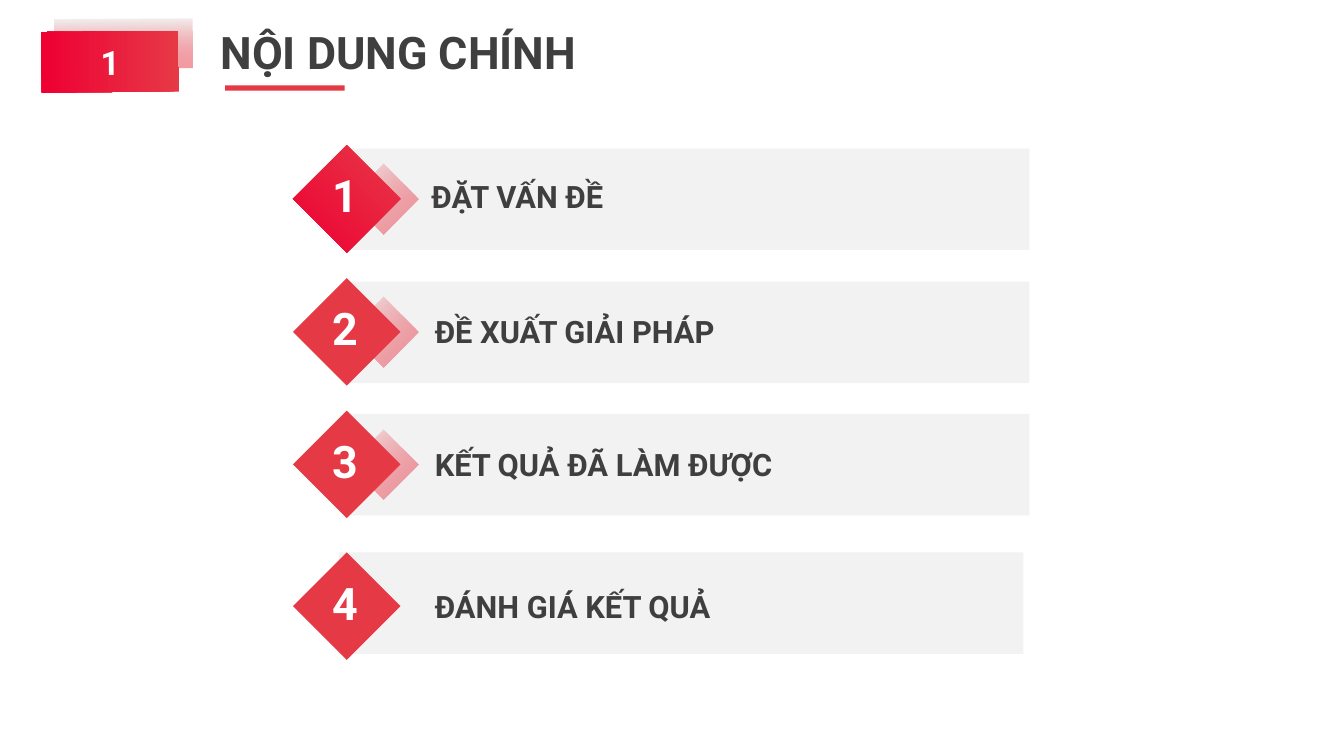
from collections import namedtuple

from pptx import Presentation
from pptx import util as u
from pptx.dml.color import RGBColor
from pptx.enum import shapes, text
from pptx.oxml.ns import qn
from lxml import etree

Box = namedtuple("Box", "left top width height")
Item = namedtuple("Item", "label top bar_left bar_top label_left label_top")

CELL = u.Inches(20) / 200  # the slide is a grid of 200 columns by 112.5 rows
COLORS = {"red": "E63946", "crimson": "EE0033", "bar": "F2F2F2",
          "ink": "3F3F3F", "white": "FFFFFF"}
FONT = "Roboto"
DIAMOND, SHADOW = 16, 10.5  # diagonals

# Bar and label offsets are measured from the corner of the item's box.
ITEMS = [
    Item("ĐẶT VẤN ĐỀ", 21.6, 7.7, 0.5, 20.6, 4.9),
    Item("ĐỀ XUẤT GIẢI PHÁP", 41.4, 7.7, 0.5, 21.1, 5.2),
    Item("KẾT QUẢ ĐÃ LÀM ĐƯỢC", 61.1, 7.7, 0.5, 21.1, 5.2),
    Item("ĐÁNH GIÁ KẾT QUẢ", 82.2, 6.8, 0, 21.1, 5.2),
]


def rgb(name):
    return RGBColor.from_string(COLORS[name])


def emu(box):
    return [u.Emu(round(length * CELL)) for length in box]


def inside(outer, left, top, width, height):
    return Box(outer.left + left, outer.top + top, width, height)


def add_block(page, kind, box, color="red"):
    block = page.shapes.add_shape(kind, *emu(box))
    block.shadow.inherit = False
    block.line.fill.background()
    block.fill.solid()
    block.fill.fore_color.rgb = rgb(color)
    return block


def set_gradient(block, end, angle, alpha=None):
    """Fade from red to the end colour; the angle runs clockwise."""
    block.fill.gradient()
    block.fill.gradient_angle = 360 - angle
    for stop, color in zip(block.fill.gradient_stops, ("red", end)):
        stop.color.rgb = rgb(color)
    if alpha:
        first = next(block._element.spPr.iter(qn("a:srgbClr")))
        etree.SubElement(first, qn("a:alpha"), val=str(alpha * 1000))


def write(shape, words, size, color, align=text.PP_ALIGN.LEFT,
          anchor=text.MSO_ANCHOR.TOP, margin=0):
    frame = shape.text_frame
    frame.word_wrap = True
    frame.auto_size = text.MSO_AUTO_SIZE.NONE
    frame.vertical_anchor = anchor
    frame.margin_left = frame.margin_right = u.Inches(margin)
    frame.margin_top = frame.margin_bottom = u.Inches(margin)
    para = frame.paragraphs[0]
    para.text = words
    para.alignment = align
    para.line_spacing = u.Pt(size * 1.2)
    para.space_before = u.Pt(0)
    para.font.name = FONT
    para.font.size = u.Pt(size)
    para.font.bold = True
    para.font.color.rgb = rgb(color)


def add_badge(page, box, number):
    shadow = add_block(page, shapes.MSO_SHAPE.RECTANGLE,
                       inside(box, 1.9, -1.9, 20.5, 7.4))
    set_gradient(shadow, "bar", 270, alpha=50)
    front = add_block(page, shapes.MSO_SHAPE.RECTANGLE, box)
    set_gradient(front, "crimson", 180)
    shadow.rotation = front.rotation = -0.4
    write(front, number, 36, "white", text.PP_ALIGN.CENTER,
          text.MSO_ANCHOR.MIDDLE, margin=0.06)


def add_title(page, box, words):
    title = page.shapes.title
    title.left, title.top, title.width, title.height = emu(box)
    write(title, words, 48, "ink")
    add_block(page, shapes.MSO_SHAPE.RECTANGLE, inside(box, 0.7, 9, 17.8, 0.8))


def add_item(page, box, number, item):
    add_block(page, shapes.MSO_SHAPE.RECTANGLE,
              inside(box, item.bar_left, item.bar_top, 101.9, 15.1), "bar")
    if number < len(ITEMS):
        shadow = add_block(page, shapes.MSO_SHAPE.DIAMOND,
                           inside(box, 8.2, (DIAMOND - SHADOW) / 2, SHADOW, SHADOW))
        set_gradient(shadow, "bar", 225, alpha=50)
    diamond = add_block(page, shapes.MSO_SHAPE.DIAMOND,
                        inside(box, 0, 0, DIAMOND, DIAMOND))
    if number == 1:
        set_gradient(diamond, "crimson", 135)
    digit = page.shapes.add_textbox(*emu(inside(box, 5.1, 3.4, 5.3, 8.5)))
    write(digit, str(number), 48, "white", text.PP_ALIGN.CENTER)
    label = page.shapes.add_textbox(
        *emu(inside(box, item.label_left, item.label_top, 80, 5.2)))
    write(label, item.label, 33, "ink")


def main():
    deck = Presentation()
    deck.slide_width, deck.slide_height = u.Inches(20), u.Inches(11.25)
    page = deck.slides.add_slide(deck.slide_layouts[5])
    add_title(page, Box(32.8, 3.7, 129.6, 8.5), "NỘI DUNG CHÍNH")
    add_badge(page, Box(6.2, 4.7, 20.4, 9), "1")
    for number, item in enumerate(ITEMS, 1):
        add_item(page, Box(43.6, item.top, 110, DIAMOND), number, item)
    deck.save("out.pptx")


if __name__ == "__main__":
    main()
